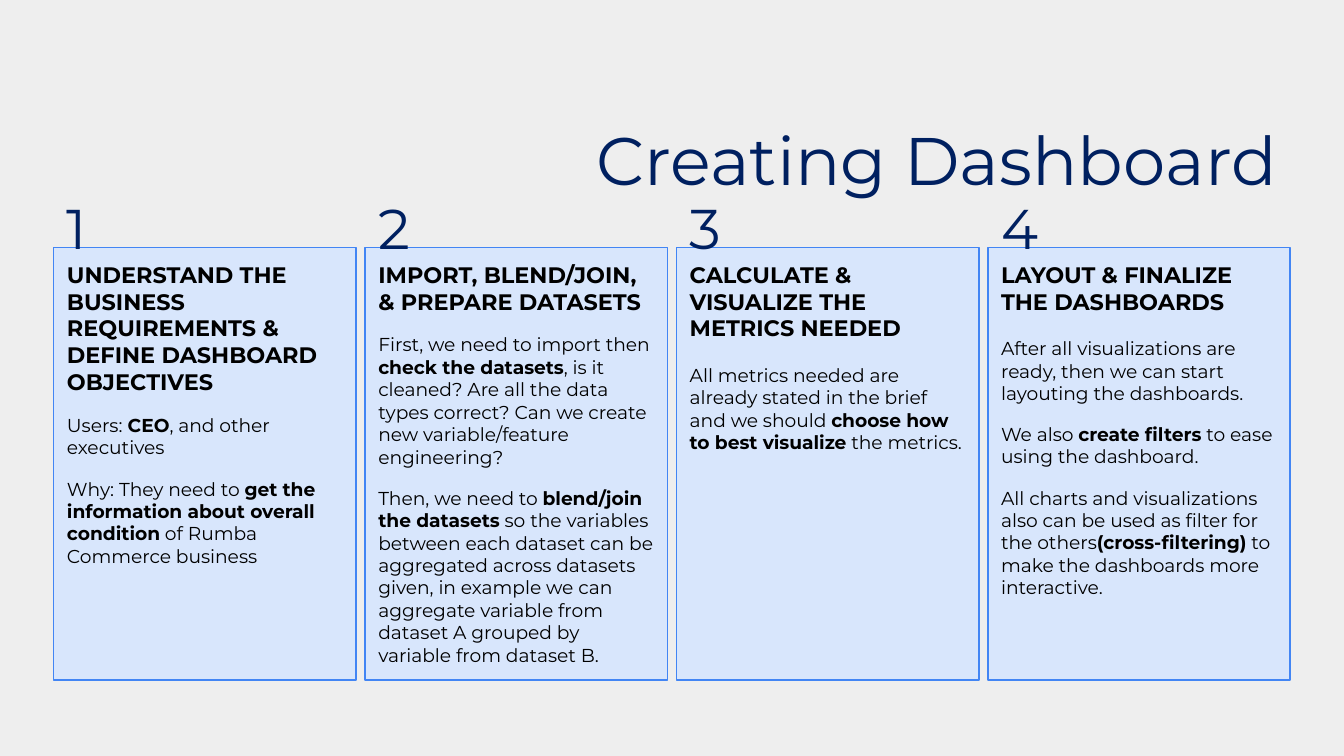
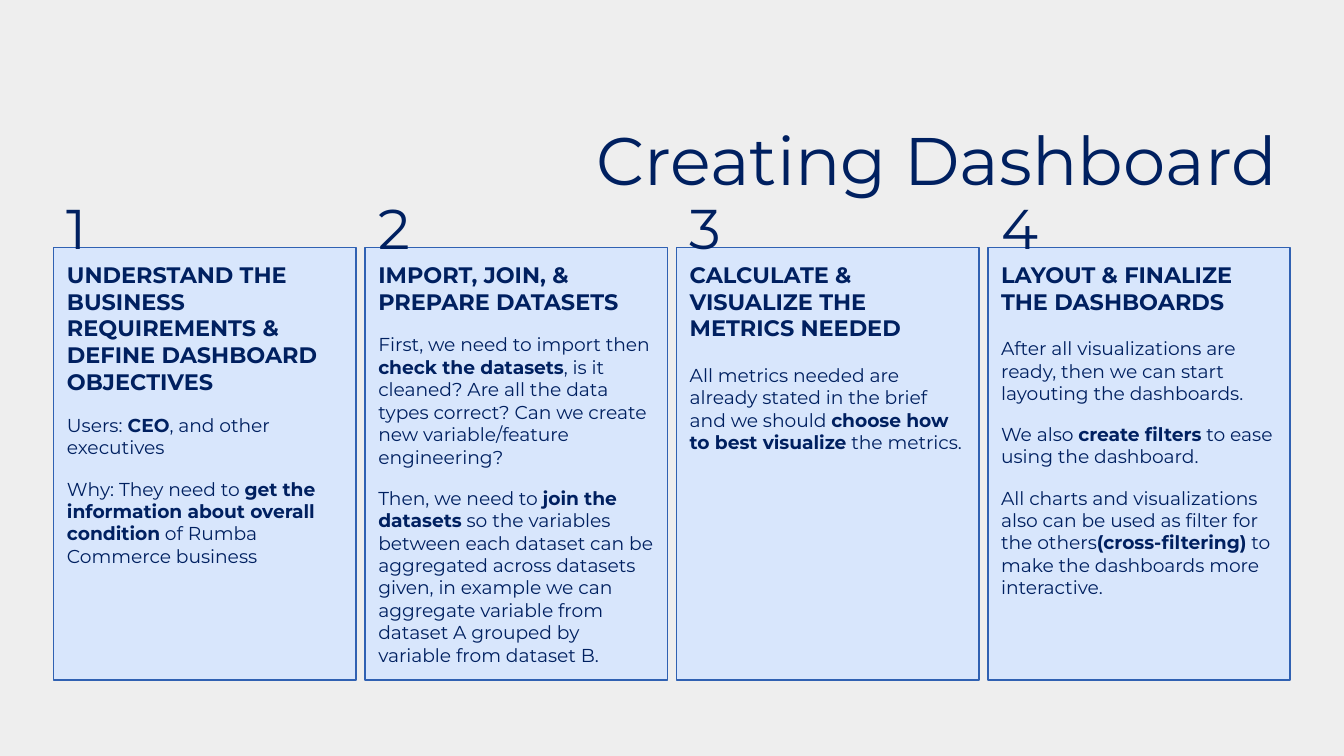
from dataclasses import dataclass
from pptx import Presentation
from pptx import util as u
from pptx.dml.color import RGBColor
from pptx.enum import shapes, text

FONT = "Montserrat"
BACK = RGBColor(0xEE, 0xEE, 0xEE)
PALE = RGBColor(0xD8, 0xE6, 0xFC)
NAVY = RGBColor(0x00, 0x20, 0x60)
BLACK = RGBColor(0, 0, 0)
BLUE = RGBColor(0x42, 0x85, 0xF4)
STEEL = RGBColor(0x30, 0x61, 0xB2)

LEFT, WIDE = 0.4, 9.2
CARD = 2.25
STEP = (WIDE - CARD) / 3


@dataclass(frozen=True)
class Step:
    head: str
    body: tuple[str, ...]
    gap: int = 10


@dataclass(frozen=True)
class Look:
    ink: RGBColor
    edge: RGBColor
    load: str
    join: str


LOOKS = (
    Look(BLACK, BLUE, "IMPORT, BLEND/JOIN, & PREPARE DATASETS", "blend/join the datasets"),
    Look(NAVY, STEEL, "IMPORT, JOIN, & PREPARE DATASETS", "join the datasets"),
)


def list_steps(look: Look) -> tuple[Step, ...]:
    return (
        Step("UNDERSTAND THE BUSINESS REQUIREMENTS & DEFINE DASHBOARD OBJECTIVES", (
            "Users:* CEO*, and other executives",
            "Why: They need to *get the information about overall condition*"
            " of Rumba Commerce business",
        )),
        Step(look.load, (
            "First, we need to import then *check the datasets*, is it cleaned? "
            "Are all the data types correct? Can we create new variable/feature engineering?",
            f"Then, we need to *{look.join}* so the variables between each dataset "
            "can be aggregated across datasets given, in example we can aggregate "
            "variable from dataset A grouped by variable from dataset B.",
        )),
        Step("CALCULATE & VISUALIZE THE METRICS NEEDED", (
            "All metrics needed are already stated in the brief and we should "
            "*choose how to best visualize* the metrics.",
        ), 12),
        Step("LAYOUT & FINALIZE THE DASHBOARDS", (
            "After all visualizations are ready, then we can start layouting the dashboards.",
            "We also *create filters* to ease using the dashboard.",
            "All charts and visualizations also can be used as filter for the others"
            "*(cross-filtering)* to make the dashboards more interactive.",
        ), 12),
    )


def set_frame(frame) -> None:
    frame.word_wrap = True
    frame.auto_size = text.MSO_AUTO_SIZE.NONE
    frame.vertical_anchor = text.MSO_ANCHOR.TOP
    frame.margin_left = frame.margin_right = u.Inches(0.1)
    frame.margin_top = frame.margin_bottom = u.Inches(0.1)


def add_runs(para, words: str, size: int, ink: RGBColor) -> None:
    for spot, part in enumerate(words.split("*")):
        if part:
            run = para.add_run()
            run.text = part
            run.font.name = FONT
            run.font.size = u.Pt(size)
            run.font.bold = spot % 2 == 1
            run.font.color.rgb = ink


def add_title(slide, words: str) -> None:
    title = slide.shapes.title
    title.left, title.top = u.Inches(LEFT), u.Inches(0.78)
    title.width, title.height = u.Inches(WIDE), u.Inches(0.72)
    set_frame(title.text_frame)
    para = title.text_frame.paragraphs[0]
    para.alignment = text.PP_ALIGN.RIGHT
    add_runs(para, words, 36, NAVY)


def add_card(slide, left: float, step: Step, look: Look) -> None:
    card = slide.shapes.add_shape(
        shapes.MSO_SHAPE.RECTANGLE,
        u.Inches(left), u.Inches(1.84), u.Inches(CARD), u.Inches(3.22))
    card.shadow.inherit = False
    card.fill.solid()
    card.fill.fore_color.rgb = PALE
    card.line.color.rgb = look.edge
    card.line.width = u.Pt(0.75)
    frame = card.text_frame
    set_frame(frame)
    head = frame.paragraphs[0]
    head.alignment = text.PP_ALIGN.LEFT
    add_runs(head, f"*{step.head}*", 12, look.ink)
    for spot, words in enumerate(step.body):
        para = frame.add_paragraph()
        para.alignment = text.PP_ALIGN.LEFT
        para.space_before = u.Pt(10 if spot else step.gap)
        add_runs(para, words, 10, look.ink)


def add_mark(slide, left: float, rank: int) -> None:
    mark = slide.shapes.add_textbox(
        u.Inches(left), u.Inches(1.34), u.Inches(0.36), u.Inches(0.71))
    set_frame(mark.text_frame)
    add_runs(mark.text_frame.paragraphs[0], str(rank), 30, NAVY)


def add_slide(deck, look: Look) -> None:
    slide = deck.slides.add_slide(deck.slide_layouts[5])
    slide.background.fill.solid()
    slide.background.fill.fore_color.rgb = BACK
    add_title(slide, "Creating Dashboard")
    for spot, step in enumerate(list_steps(look)):
        left = LEFT + spot * STEP
        add_card(slide, left, step, look)
        add_mark(slide, left, spot + 1)


def main() -> None:
    deck = Presentation()
    deck.slide_width = u.Inches(10)
    deck.slide_height = u.Inches(10 * 9 / 16)
    for look in LOOKS:
        add_slide(deck, look)
    deck.save("out.pptx")


if __name__ == "__main__":
    main()
